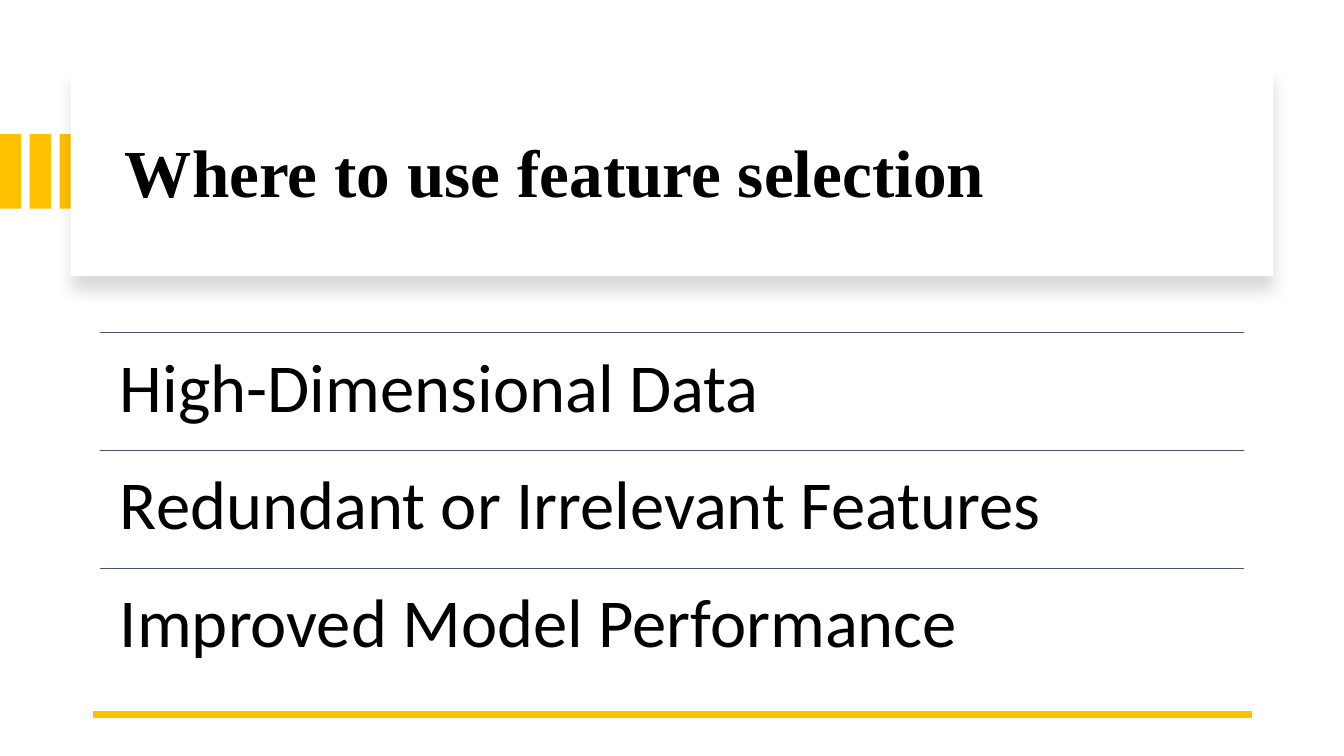
from dataclasses import dataclass

import lxml.etree
import pptx
import pptx.dml.color
import pptx.enum.shapes
import pptx.enum.text
import pptx.oxml
import pptx.oxml.ns
import pptx.shapes.autoshape
import pptx.slide
import pptx.util

Inches = pptx.util.Inches
RGBColor = pptx.dml.color.RGBColor
Anchor = pptx.enum.text.MSO_ANCHOR

AMBER = RGBColor(0xFF, 0xC0, 0x00)
SLATE = RGBColor(0x44, 0x54, 0x6A)
BLACK = RGBColor(0x00, 0x00, 0x00)
WHITE = RGBColor(0xFF, 0xFF, 0xFF)

BAR_COUNT = 3
BAR_SPAN = 0.59
ROW_LEFT, ROW_TOP, ROW_WIDTH, ROW_HEIGHT = 0.99, 3.3, 11.35, 1.17
USE_CASES = (
    "High-Dimensional Data",
    "Redundant or Irrelevant Features",
    "Improved Model Performance",
)


@dataclass(frozen=True)
class Area:
    left: float
    top: float
    width: float
    height: float

    def lengths(self) -> list[pptx.util.Length]:
        return [Inches(side) for side in (self.left, self.top, self.width, self.height)]


def add_rectangle(
    page: pptx.slide.Slide, area: Area, color: RGBColor
) -> pptx.shapes.autoshape.Shape:
    rectangle = page.shapes.add_shape(
        pptx.enum.shapes.MSO_SHAPE.RECTANGLE, *area.lengths()
    )
    rectangle.shadow.inherit = False
    rectangle.fill.solid()
    rectangle.fill.fore_color.rgb = color
    rectangle.line.fill.background()
    return rectangle


def add_soft_shadow(shape: pptx.shapes.autoshape.Shape) -> None:
    effects = shape._element.spPr.find(pptx.oxml.ns.qn("a:effectLst"))
    effects.append(
        pptx.oxml.parse_xml(
            f'<a:outerShdw {pptx.oxml.ns.nsdecls("a")} blurRad="{pptx.util.Pt(11)}" '
            f'dist="{pptx.util.Pt(10)}" dir="5400000" algn="t" rotWithShape="0">'
            f'<a:srgbClr val="{BLACK}"><a:alpha val="15000"/></a:srgbClr></a:outerShdw>'
        )
    )


def add_rule(
    page: pptx.slide.Slide,
    left: float,
    right: float,
    top: float,
    color: RGBColor,
    weight: float,
) -> None:
    rule = page.shapes.add_connector(
        pptx.enum.shapes.MSO_CONNECTOR.STRAIGHT,
        Inches(left), Inches(top), Inches(right), Inches(top),
    )
    rule.line.color.rgb = color
    rule.line.width = pptx.util.Pt(weight)
    lxml.etree.SubElement(rule._element.spPr, pptx.oxml.ns.qn("a:effectLst"))


def add_text(
    page: pptx.slide.Slide,
    text: str,
    area: Area,
    *,
    font: str,
    size: float,
    bold: bool = False,
    anchor: Anchor = Anchor.TOP,
    inset: float = 0.1,
) -> None:
    box = page.shapes.add_textbox(*area.lengths())
    frame = box.text_frame
    frame.word_wrap = True
    frame.vertical_anchor = anchor
    frame.margin_left = frame.margin_right = Inches(inset)
    frame.margin_top = frame.margin_bottom = Inches(inset)
    para = frame.paragraphs[0]
    para.line_spacing = 0.9
    span = para.add_run()
    span.text = text
    span.font.name = font
    span.font.size = pptx.util.Pt(size)
    span.font.bold = bold
    span.font.color.rgb = BLACK


def main() -> None:
    deck = pptx.Presentation()
    deck.slide_width, deck.slide_height = Inches(13.33), Inches(7.5)
    page = deck.slides.add_slide(deck.slide_layouts[6])

    for index in range(BAR_COUNT):
        left = BAR_SPAN * index / (BAR_COUNT - 1)
        add_rectangle(page, Area(left, 1.33, 0.21, 0.74), AMBER)
    title_card = add_rectangle(page, Area(0.7, 0.67, 11.93, 2.07), WHITE)
    add_soft_shadow(title_card)
    add_text(
        page,
        "Where to use feature selection",
        Area(1.14, 0.89, 11.13, 1.7),
        font="Times New Roman",
        size=48,
        bold=True,
        anchor=Anchor.MIDDLE,
    )
    add_rule(page, 0.92, 12.42, 7.09, AMBER, 4.5)

    for index, use_case in enumerate(USE_CASES):
        top = ROW_TOP + index * ROW_HEIGHT
        add_rule(page, ROW_LEFT, ROW_LEFT + ROW_WIDTH, top, SLATE, 1)
        row = Area(ROW_LEFT, top, ROW_WIDTH, ROW_HEIGHT)
        add_text(page, use_case, row, font="Calibri", size=49, inset=0.2)

    deck.save("out.pptx")


if __name__ == "__main__":
    main()
